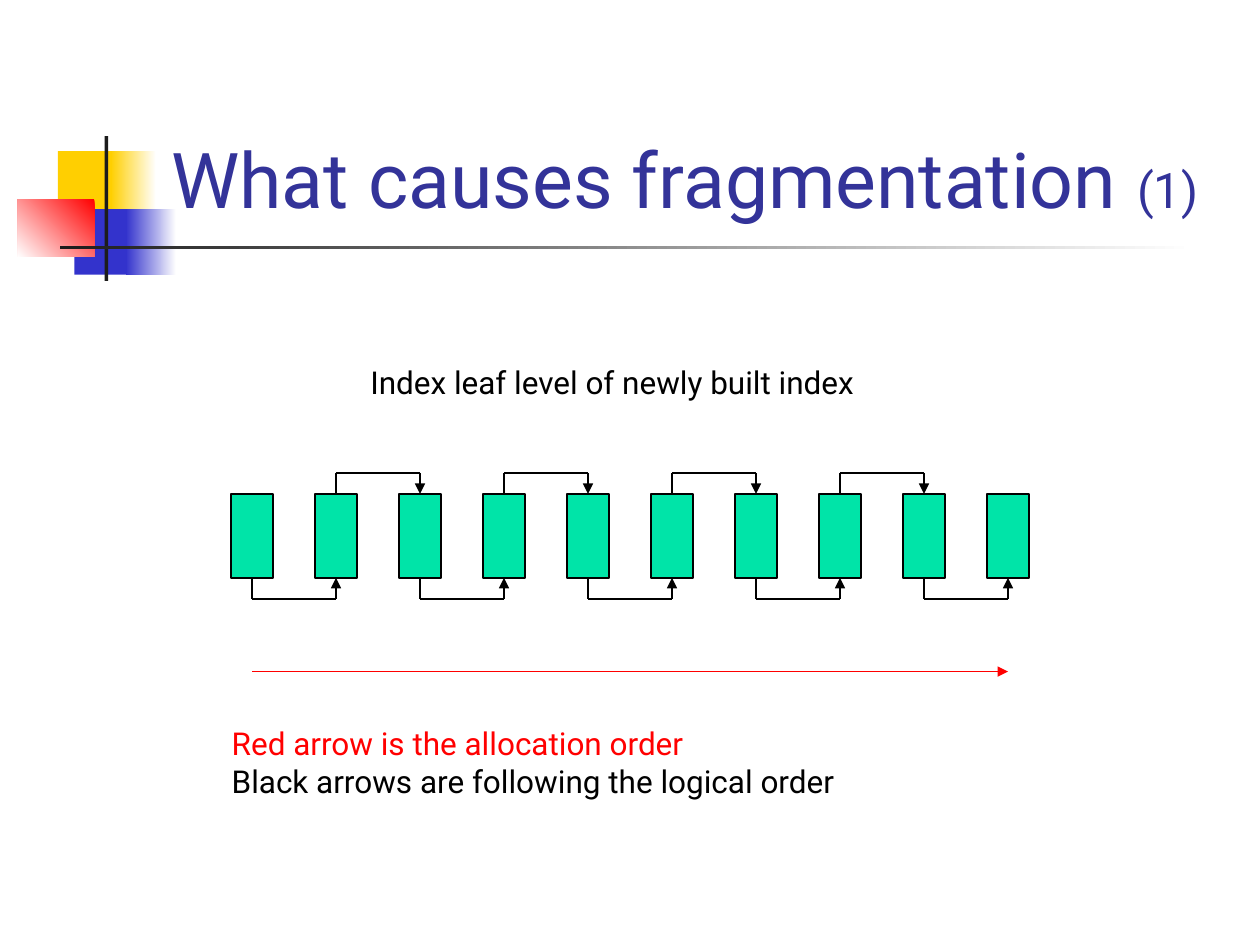
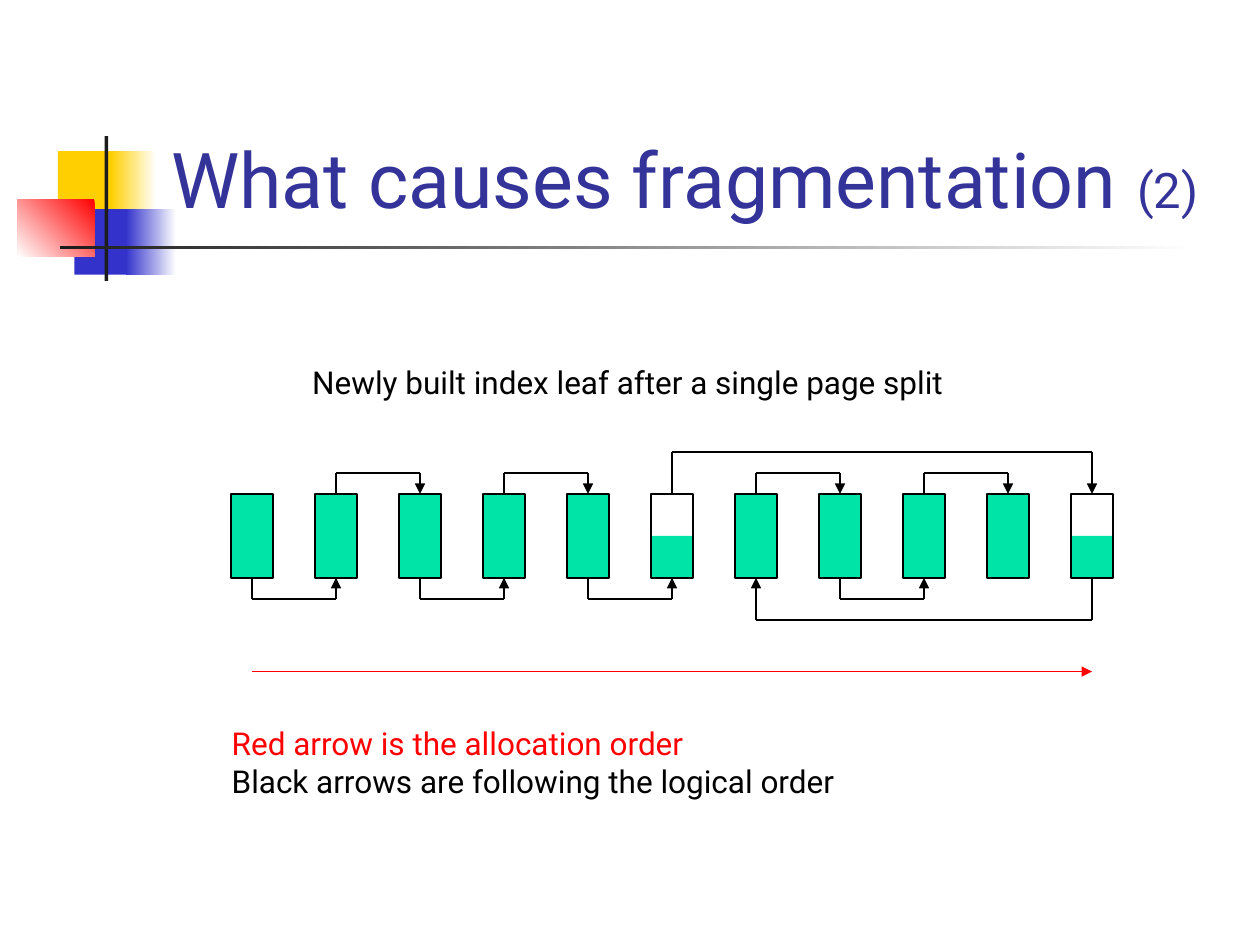
from itertools import cycle, pairwise

from lxml import etree
from pptx import Presentation
from pptx import util as u
from pptx.dml.color import RGBColor
from pptx.enum import shapes, text
from pptx.oxml.ns import qn

FONT = "Roboto"
TITLE_BLUE = RGBColor(0x33, 0x33, 0x99)
BLUE = RGBColor(0x33, 0x33, 0xCC)
YELLOW = RGBColor(0xFF, 0xCF, 0x01)
RED = RGBColor(0xFF, 0x00, 0x00)
GREEN = RGBColor(0x00, 0xE4, 0xA8)
CHARCOAL = RGBColor(0x1C, 0x1C, 0x1C)
BLACK = RGBColor(0x00, 0x00, 0x00)
WHITE = RGBColor(0xFF, 0xFF, 0xFF)

PITCH = 2 / 3
PAGE_W, PAGE_H = 1 / 3, 2 / 3
FIRST_X, PAGE_TOP = 2, 3.92
PAGE_BOTTOM = PAGE_TOP + PAGE_H


class Deck:
    def __init__(self):
        self.prs = Presentation()
        self.prs.slide_width, self.prs.slide_height = u.Inches(10), u.Inches(7.5)
        self.layout = self.prs.slide_layouts.get_by_name("Title Only")
        self.s = None

    def slide(self, number):
        self.s = self.prs.slides.add_slide(self.layout)
        if number == 1:
            self.decorate_layout()
        self.title("What causes fragmentation ", f"({number})")

    def decorate_layout(self):
        decor = [
            self.rect(0.46, 1.2, 0.48, 0.52, YELLOW),
            self.gradient(0.88, 1.2, 0.36, 0.52, WHITE, YELLOW),
            self.rect(0.59, 1.66, 0.46, 0.52, BLUE),
            self.gradient(1, 1.66, 0.4, 0.52, WHITE, BLUE),
            self.gradient(0.14, 1.58, 0.61, 0.46, RED, WHITE, 225),
            self.rect(0.83, 1.08, 0.03, 1.15, CHARCOAL),
            self.gradient(0.48, 1.95, 9, 0.03, WHITE, CHARCOAL),
        ]
        tree = self.layout.placeholders[0].element.getparent()
        for sp in decor:
            tree.append(sp.element)

    def title(self, words, number):
        sp = self.s.shapes.title
        sp.left, sp.top = u.Inches(1.26), u.Inches(0.23)
        sp.width, sp.height = u.Inches(8.52), u.Inches(1.6)
        tf = sp.text_frame
        tf.auto_size = text.MSO_AUTO_SIZE.NONE
        tf.vertical_anchor = text.MSO_ANCHOR.BOTTOM
        p = tf.paragraphs[0]
        p.alignment = text.PP_ALIGN.LEFT
        p.font.name, p.font.color.rgb = FONT, TITLE_BLUE
        for part, size in ((words, 44), (number, 28)):
            r = p.add_run()
            r.text = part
            r.font.name, r.font.size = FONT, u.Pt(size)
            r.font.color.rgb = TITLE_BLUE

    def rect(self, x, y, w, h, fill=None, line=None):
        sp = self.s.shapes.add_shape(
            shapes.MSO_SHAPE.RECTANGLE, u.Inches(x), u.Inches(y), u.Inches(w), u.Inches(h))
        sp.shadow.inherit = False
        if fill is None:
            sp.fill.background()
        else:
            sp.fill.solid()
            sp.fill.fore_color.rgb = fill
        if line is None:
            sp.line.fill.background()
        else:
            sp.line.color.rgb, sp.line.width = line, u.Pt(1.5)
        return sp

    def gradient(self, x, y, w, h, start, end, angle=180):
        sp = self.rect(x, y, w, h)
        sp.fill.gradient()
        sp.fill.gradient_angle = angle
        for stop, color in zip(sp.fill.gradient_stops, (start, end)):
            stop.color.rgb = color
        return sp

    def line(self, start, end, color=BLACK, width=1.5, arrow=False):
        cx = self.s.shapes.add_connector(
            shapes.MSO_CONNECTOR.STRAIGHT, *(u.Inches(v) for v in (*start, *end)))
        cx.line.color.rgb, cx.line.width = color, u.Pt(width)
        if arrow:
            etree.SubElement(cx.line._get_or_add_ln(), qn("a:tailEnd"), type="triangle")
        etree.SubElement(cx.element.spPr, qn("a:effectLst"))

    def text(self, x, y, w, h, *lines):
        tf = self.s.shapes.add_textbox(
            u.Inches(x), u.Inches(y), u.Inches(w), u.Inches(h)).text_frame
        tf.word_wrap = True
        for i, (words, color) in enumerate(lines):
            p = tf.add_paragraph() if i else tf.paragraphs[0]
            p.text = words
            p.font.name, p.font.size, p.font.color.rgb = FONT, u.Pt(18), color

    def page(self, index, half_full):
        x = FIRST_X + index * PITCH - PAGE_W / 2
        if half_full:
            self.rect(x, PAGE_TOP, PAGE_W, PAGE_H, WHITE)
            self.rect(x, PAGE_TOP + PAGE_H / 2, PAGE_W, PAGE_H / 2, GREEN)
        self.rect(x, PAGE_TOP, PAGE_W, PAGE_H, None if half_full else GREEN, BLACK)

    def hop(self, source, target, below):
        x1, x2 = (FIRST_X + i * PITCH for i in (source, target))
        reach = 1 / 6 if abs(target - source) == 1 else 1 / 3
        edge = PAGE_BOTTOM if below else PAGE_TOP
        level = edge + reach if below else edge - reach
        self.line((x1, edge), (x1, level))
        self.line((x1, level), (x2, level))
        self.line((x2, level), (x2, edge), arrow=True)

    def leaf_level(self, logical_order, half_full=()):
        for index in range(len(logical_order)):
            self.page(index, index in half_full)
        for (source, target), below in zip(pairwise(logical_order), cycle((True, False))):
            self.hop(source, target, below)
        last_x = FIRST_X + (len(logical_order) - 1) * PITCH
        self.line((FIRST_X, 5.33), (last_x, 5.33), RED, 0.75, arrow=True)
        self.text(1.74, 5.7, 5.29, 0.7,
                  ("Red arrow is the allocation order", RED),
                  ("Black arrows are following the logical order", BLACK))


def main():
    deck = Deck()

    deck.slide(1)
    deck.text(2.84, 2.83, 4.32, 0.4, ("Index leaf level of newly built index", BLACK))
    deck.leaf_level(range(10))

    deck.slide(2)
    deck.text(2.38, 2.83, 5.24, 0.7,
              ("Newly built index leaf after a single page split", BLACK))
    deck.leaf_level([0, 1, 2, 3, 4, 5, 10, 6, 7, 8, 9], half_full=(5, 10))

    deck.prs.save("out.pptx")


if __name__ == "__main__":
    main()
